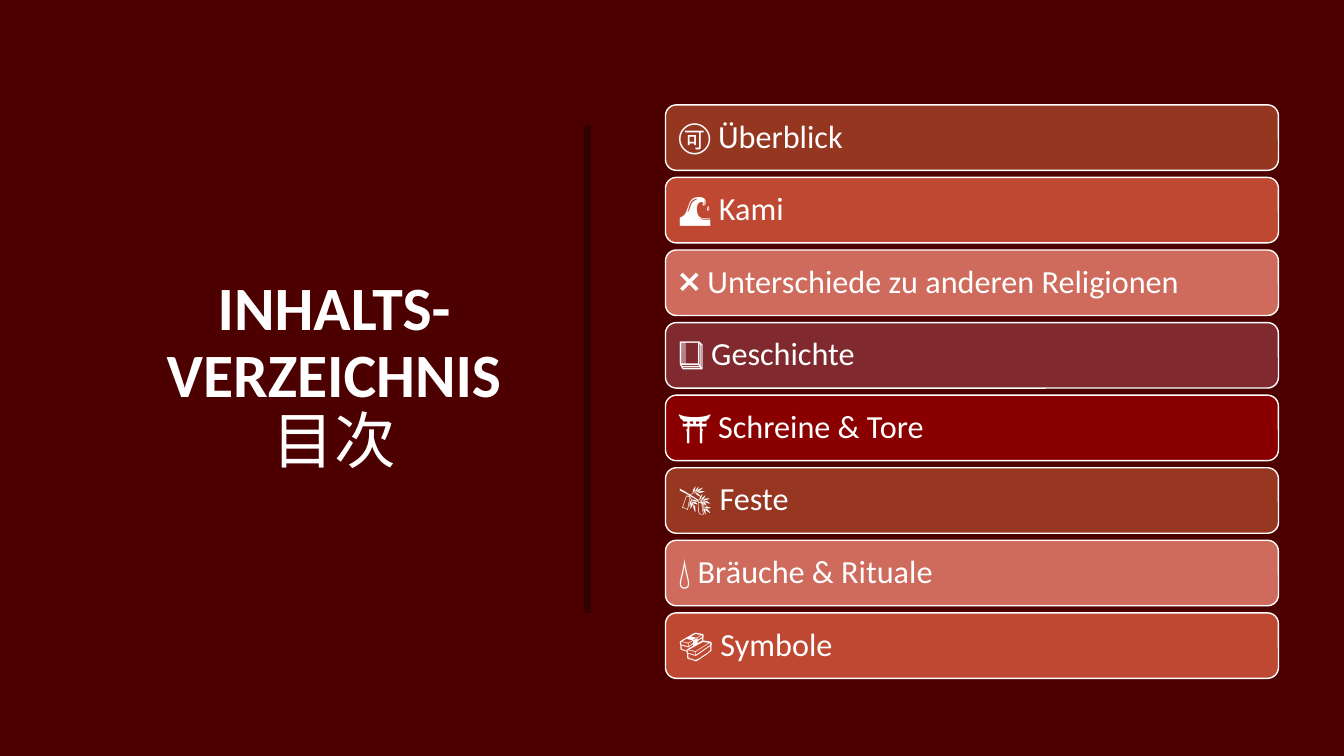
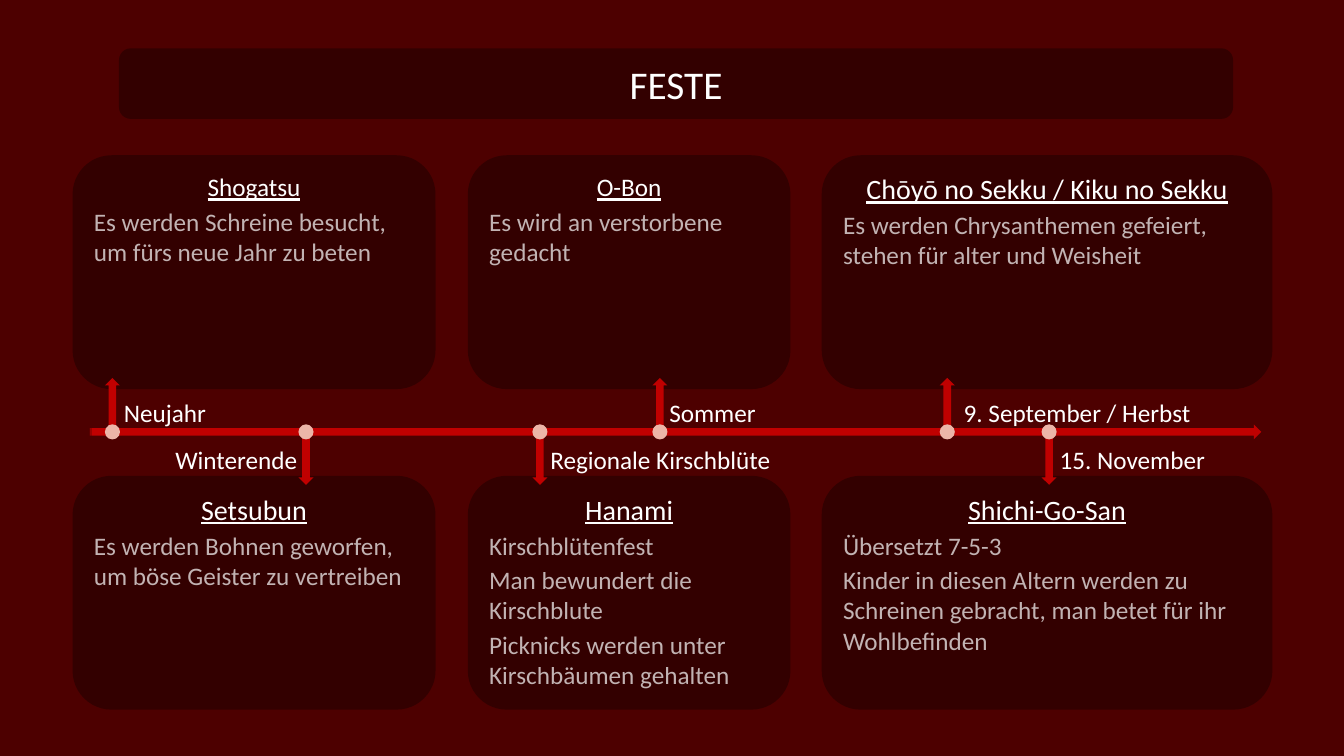
from dataclasses import dataclass

from lxml.etree import SubElement
from pptx import Presentation
from pptx.dml.color import RGBColor
from pptx.enum.shapes import MSO_SHAPE
from pptx.enum.text import MSO_ANCHOR, PP_ALIGN
from pptx.oxml.ns import qn
from pptx.util import Emu, Pt

PX = 9144  # 100 px to the inch


@dataclass(frozen=True)
class Theme:
    font: str = "Calibri"
    background: str = "4D0000"
    panel: str = "330000"
    text: str = "FFFFFF"
    arrow: str = "C00000"
    dot: str = "ECB5A8"
    body_opacity: int = 70
    contents_size: int = 44
    title_size: int = 28
    row_size: int = 23
    heading_size: int = 20
    body_size: int = 18


theme = Theme()


def add_box(page, kind, area, fill=None, anchor=MSO_ANCHOR.TOP):
    """Add a preset shape without outline, or a text box if kind is None."""
    left, top, width, height = [Emu(value * PX) for value in area]
    if kind is None:
        box = page.shapes.add_textbox(left, top, width, height)
    else:
        box = page.shapes.add_shape(kind, left, top, width, height)
        box.shadow.inherit = False
        box.fill.solid()
        box.fill.fore_color.rgb = RGBColor.from_string(fill)
        box.line.fill.background()
    box.text_frame.word_wrap = True
    box.text_frame.vertical_anchor = anchor
    return box


def format_para(para, size, align=PP_ALIGN.LEFT, opacity=100):
    para.alignment = align
    for span in para.runs:
        span.font.name = theme.font
        span.font.size = Pt(size)
        span.font.color.rgb = RGBColor.from_string(theme.text)
        if opacity < 100:
            color = span.font._element.find(f".//{qn('a:srgbClr')}")
            SubElement(color, qn("a:alpha"), val=str(opacity * 1000))


deck = Presentation()
deck.slide_width, deck.slide_height = Emu(1333 * PX), Emu(750 * PX)
pages = [deck.slides.add_slide(deck.slide_layouts[6]) for _ in range(2)]
for page in pages:
    page.background.fill.solid()
    page.background.fill.fore_color.rgb = RGBColor.from_string(theme.background)
contents_page, feasts_page = pages

# Table of contents
title = add_box(contents_page, None, (118, 118, 427, 513), anchor=MSO_ANCHOR.MIDDLE)
para = title.text_frame.paragraphs[0]
para.text = "INHALTS-\vVERZEICHNIS\v目次"
para.line_spacing = 0.9
para.space_after = Pt(10)
format_para(para, theme.contents_size, PP_ALIGN.CENTER)
for span in para.runs[:2]:
    span.font.bold = True

add_box(contents_page, MSO_SHAPE.RECTANGLE, (579, 124, 7, 484), theme.panel)

chapters = [
    ("🉑 Überblick", "953621"),
    ("🌊 Kami", "BE4831"),
    ("❌ Unterschiede zu anderen Religionen", "CE6B5C"),
    ("📔 Geschichte", "80292F"),
    ("⛩️ Schreine & Tore", "8A0000"),
    ("🎋 Feste", "973721"),
    ("💧 Bräuche & Rituale", "CE6B5C"),
    ("🍣 Symbole", "BE4831"),
]
for index, (chapter, color) in enumerate(chapters):
    row = add_box(contents_page, MSO_SHAPE.ROUNDED_RECTANGLE,
                  (660, 104 + index * 72, 608, 65), color, MSO_ANCHOR.MIDDLE)
    row.line.color.rgb = RGBColor.from_string(theme.text)
    row.line.width = Pt(1)
    para = row.text_frame.paragraphs[0]
    para.text = chapter
    para.line_spacing = 0.9
    format_para(para, theme.row_size)

# Feasts
banner = add_box(feasts_page, MSO_SHAPE.ROUNDED_RECTANGLE, (118, 48, 1105, 70),
                 theme.panel, MSO_ANCHOR.MIDDLE)
banner.text_frame.text = "FESTE"
format_para(banner.text_frame.paragraphs[0], theme.title_size, PP_ALIGN.CENTER)

columns = [(72, 360), (464, 320), (815, 447)]
card_rows = [
    (154, [
        ("Shogatsu", theme.body_size,
         ["Es werden Schreine besucht, um fürs neue Jahr zu beten"]),
        ("O-Bon", theme.body_size, ["Es wird an verstorbene gedacht"]),
        ("Chōyō no Sekku / Kiku no Sekku", theme.heading_size,
         ["Es werden Chrysanthemen gefeiert, stehen für alter und Weisheit"]),
    ]),
    (472, [
        ("Setsubun", theme.heading_size,
         ["Es werden Bohnen geworfen, um böse Geister zu vertreiben"]),
        ("Hanami", theme.heading_size,
         ["Kirschblütenfest", "Man bewundert die Kirschblute",
          "Picknicks werden unter Kirschbäumen gehalten"]),
        ("Shichi-Go-San", theme.heading_size,
         ["Übersetzt 7-5-3",
          "Kinder in diesen Altern werden zu Schreinen gebracht, "
          "man betet für ihr Wohlbefinden"]),
    ]),
]
for top, cards in card_rows:
    for (left, width), (heading, heading_size, lines) in zip(columns, cards):
        card = add_box(feasts_page, MSO_SHAPE.ROUNDED_RECTANGLE,
                       (left, top, width, 232), theme.panel)
        card.text_frame.text = "\n".join([heading, *lines])
        heading_para, *body_paras = card.text_frame.paragraphs
        format_para(heading_para, heading_size, PP_ALIGN.CENTER)
        heading_para.runs[0].font.underline = True
        for para in body_paras:
            format_para(para, theme.body_size, opacity=theme.body_opacity)
        for para in card.text_frame.paragraphs:
            para.space_after = Pt(3)

add_box(feasts_page, MSO_SHAPE.STRIPED_RIGHT_ARROW, (89, 421, 1162, 15), theme.arrow)

# Arrow left, points up, label, label left, label width
dates = [
    (104, True, "Neujahr", 113, 116),
    (296, False, "Winterende", 164, 156),
    (528, False, "Regionale Kirschblüte", 536, 263),
    (647, True, "Sommer", 654, 116),
    (932, True, "9. September / Herbst", 946, 264),
    (1033, False, "15. November", 1041, 202),
]
for left, points_up, date, label_left, label_width in dates:
    arrow = add_box(feasts_page, MSO_SHAPE.UP_ARROW,
                    (left, 375 if points_up else 428, 15, 53), theme.arrow)
    arrow.rotation = 0 if points_up else 180
    add_box(feasts_page, MSO_SHAPE.FLOWCHART_CONNECTOR, (left, 421, 15, 15), theme.dot)
    label = add_box(feasts_page, None,
                    (label_left, 389 if points_up else 436, label_width, 40))
    label.text_frame.text = date
    format_para(label.text_frame.paragraphs[0], theme.body_size)

deck.save("out.pptx")
